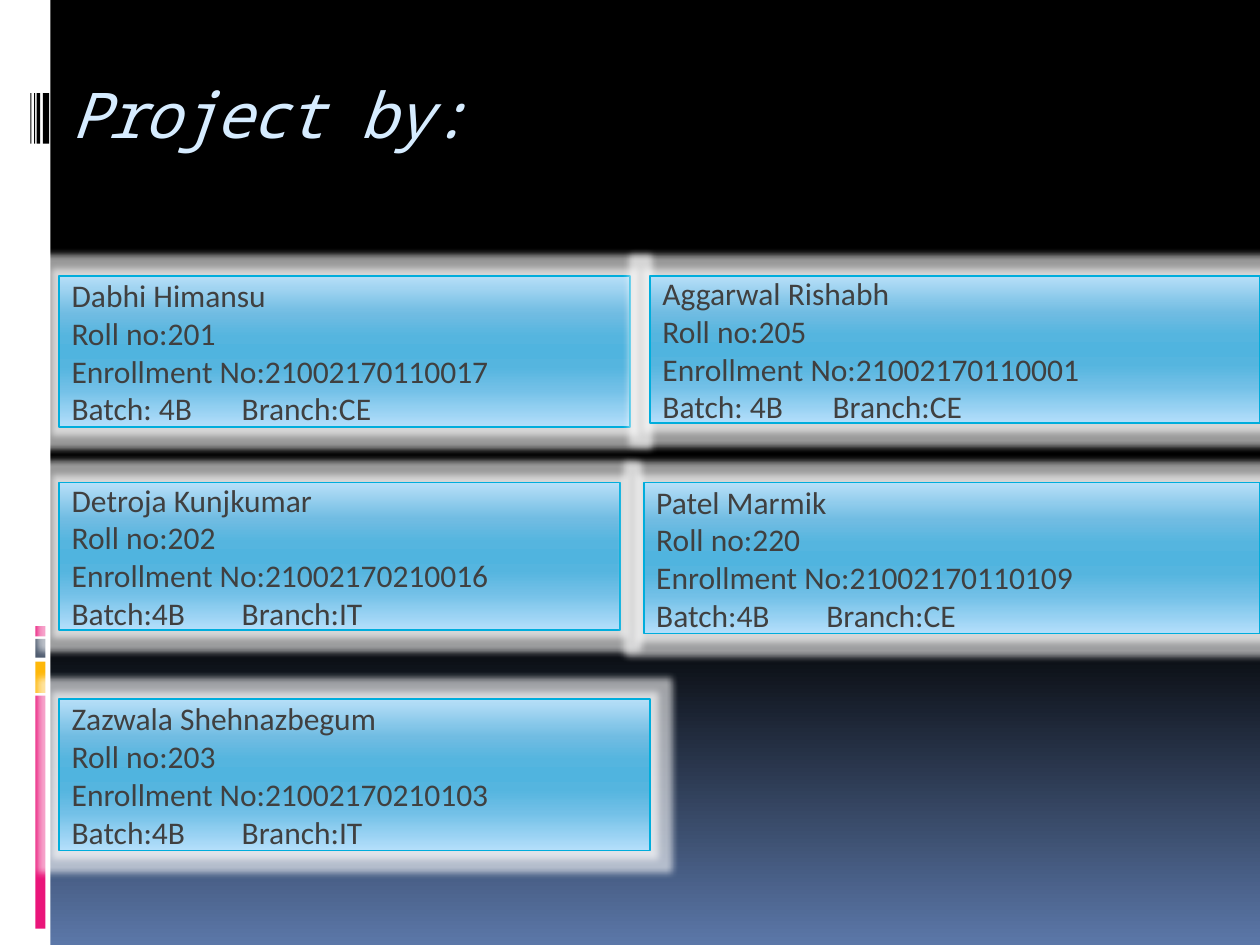
"""Build the project team slide with five student cards."""
from dataclasses import dataclass

from lxml.etree import SubElement as add_node
from pptx import Presentation
from pptx.dml.color import RGBColor as Color
from pptx.enum.shapes import MSO_SHAPE as Shape
from pptx.enum.text import MSO_ANCHOR as Anchor, PP_ALIGN as Align
from pptx.oxml.ns import qn
from pptx.util import Emu, Inches, Pt


@dataclass(frozen=True)
class Theme:
    white: str = "FFFFFF"
    black: str = "000000"
    pink: str = "EA157A"
    amber: str = "FEB80A"
    slate: str = "4E5B6F"
    title: str = "D6ECFF"
    text: str = "404040"
    edge: str = "00ADDC"
    title_font: str = "Noto Sans Mono"
    text_font: str = "Calibri"
    title_size: int = 36
    text_size: int = 18
    edge_width: float = 0.94
    backdrop: tuple = ((0, "000000"), (65, "000000"), (100, "5B77A8"))
    card: tuple = ((0, "B7DFF8"), (25, "70BCE2"), (40, "55B5DF"), (50, "50B4DF"),
                   (60, "55B5DF"), (75, "72C0E7"), (100, "B4DFFB"))


def paint_gradient(fill, element, stops):
    fill.gradient()
    fill.gradient_angle = 270
    stop_list = next(element.iter(qn("a:gsLst")))
    for stop in list(stop_list):
        stop_list.remove(stop)
    for position, color in stops:
        stop = add_node(stop_list, qn("a:gs"), pos=str(position * 1000))
        add_node(stop, qn("a:srgbClr"), val=color)


def add_block(page, left, top, width, height):
    block = page.shapes.add_shape(Shape.RECTANGLE, *map(Inches, (left, top, width, height)))
    block.shadow.inherit = False
    return block


theme = Theme()
deck = Presentation()
deck.slide_width, deck.slide_height = Inches(10), Inches(7.5)
page = deck.slides.add_slide(deck.slide_layouts[6])
paint_gradient(page.background.fill, page._element, theme.backdrop)

margin = 0.47
accent_left, accent_width = 0.28, 0.08
code_top, code_height = 0.74, 0.4
accents = [(5.52, 1.85, theme.pink), (5.25, 0.25, theme.amber),
           (5.07, 0.15, theme.slate), (4.97, 0.08, theme.pink)]
barcode = [(0.34, 0.05), (0.29, 0.03), (0.27, 0.01), (0.24, 0.01)]
side_blocks = [(0, 0, 0.4, 7.5, theme.white)]
side_blocks += [(accent_left, top, accent_width, height, color) for top, height, color in accents]
side_blocks += [(left, code_top, width, code_height, theme.black) for left, width in barcode]

for *place, color in side_blocks:
    block = add_block(page, *place)
    block.fill.solid()
    block.fill.fore_color.rgb = Color.from_string(color)
    block.line.fill.background()

title = page.shapes.add_textbox(*map(Inches, (margin, 0.55, 8.5, 1)))
title.text_frame.word_wrap = True
title.text_frame.text = "Project by:"
span = title.text_frame.paragraphs[0].runs[0]
span.font.name, span.font.size = theme.title_font, Pt(theme.title_size)
span.font.italic = True
span.font.color.rgb = Color.from_string(theme.title)
span._r.get_or_add_rPr().set("spc", "-100")

rows = (2.19, 3.83, 5.55)
students = [
    (margin, rows[0], 4.53, 1.2, "Dabhi Himansu", "201", "21002170110017", " 4B", "CE"),
    (margin, rows[1], 4.45, 1.17, "Detroja Kunjkumar", "202", "21002170210016", "4B", "IT"),
    (margin, rows[2], 4.69, 1.2, "Zazwala Shehnazbegum", "203", "21002170210103", "4B", "IT"),
    (5.16, rows[0], 4.84, 1.17, "Aggarwal Rishabh", "205", "21002170110001", " 4B", "CE"),
    (5.11, rows[1], 4.89, 1.2, "Patel Marmik", "220", "21002170110109", "4B", "CE"),
]

for *place, name, roll, enrollment, batch, branch in students:
    card = add_block(page, *place)
    paint_gradient(card.fill, card._element, theme.card)
    card.line.color.rgb = Color.from_string(theme.edge)
    card.line.width = Pt(theme.edge_width)
    effects = card._element.spPr.find(qn("a:effectLst"))
    glow = add_node(effects, qn("a:glow"), rad=str(Emu(Pt(8))))
    glow_color = add_node(glow, qn("a:srgbClr"), val=theme.white)
    add_node(glow_color, qn("a:alpha"), val="60000")

    frame = card.text_frame
    frame.word_wrap = True
    frame.vertical_anchor = Anchor.MIDDLE
    frame.text = "\n".join((name, f"Roll no:{roll}", f"Enrollment No:{enrollment}",
                            f"Batch:{batch}\tBranch:{branch}"))
    for para in frame.paragraphs:
        para.alignment = Align.LEFT
        tabs = add_node(para._p.get_or_add_pPr(), qn("a:tabLst"))
        add_node(tabs, qn("a:tab"), pos=str(Inches(1.35)), algn="l")
        for span in para.runs:
            span.font.name, span.font.size = theme.text_font, Pt(theme.text_size)
            span.font.color.rgb = Color.from_string(theme.text)

deck.save("out.pptx")
